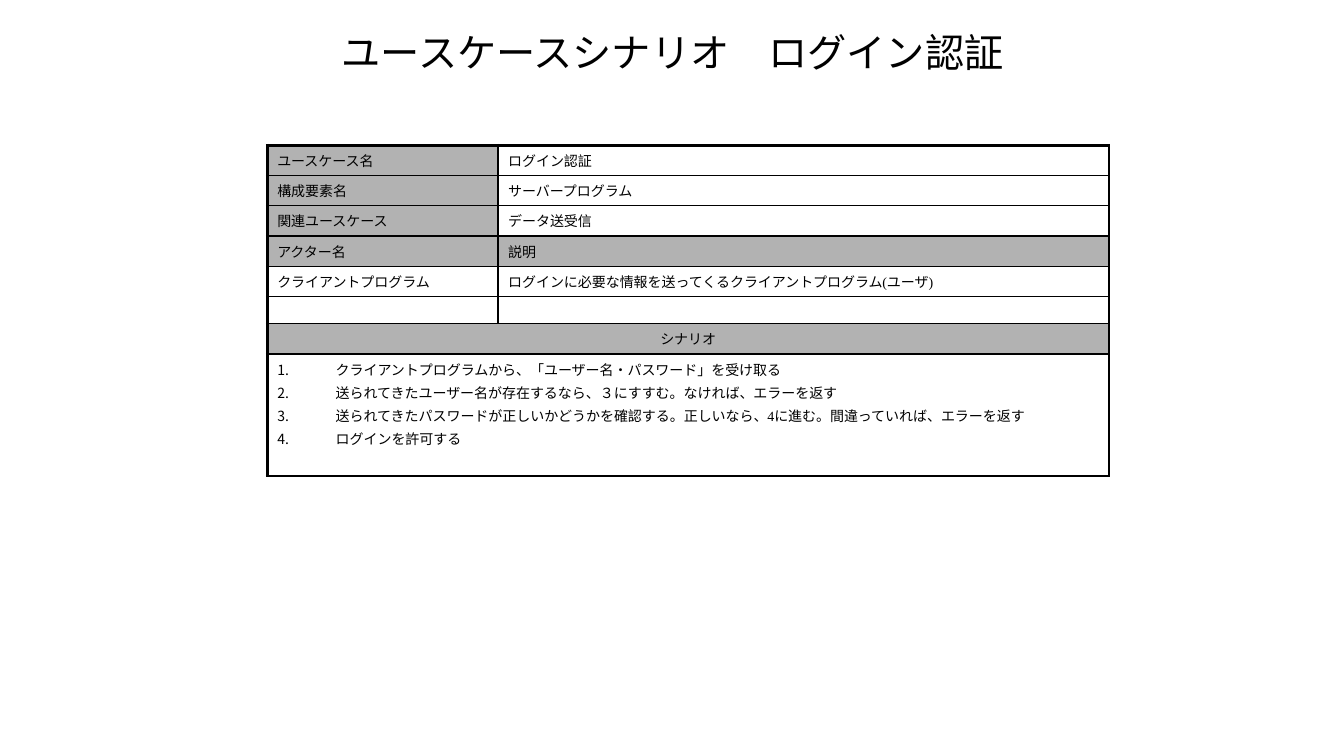
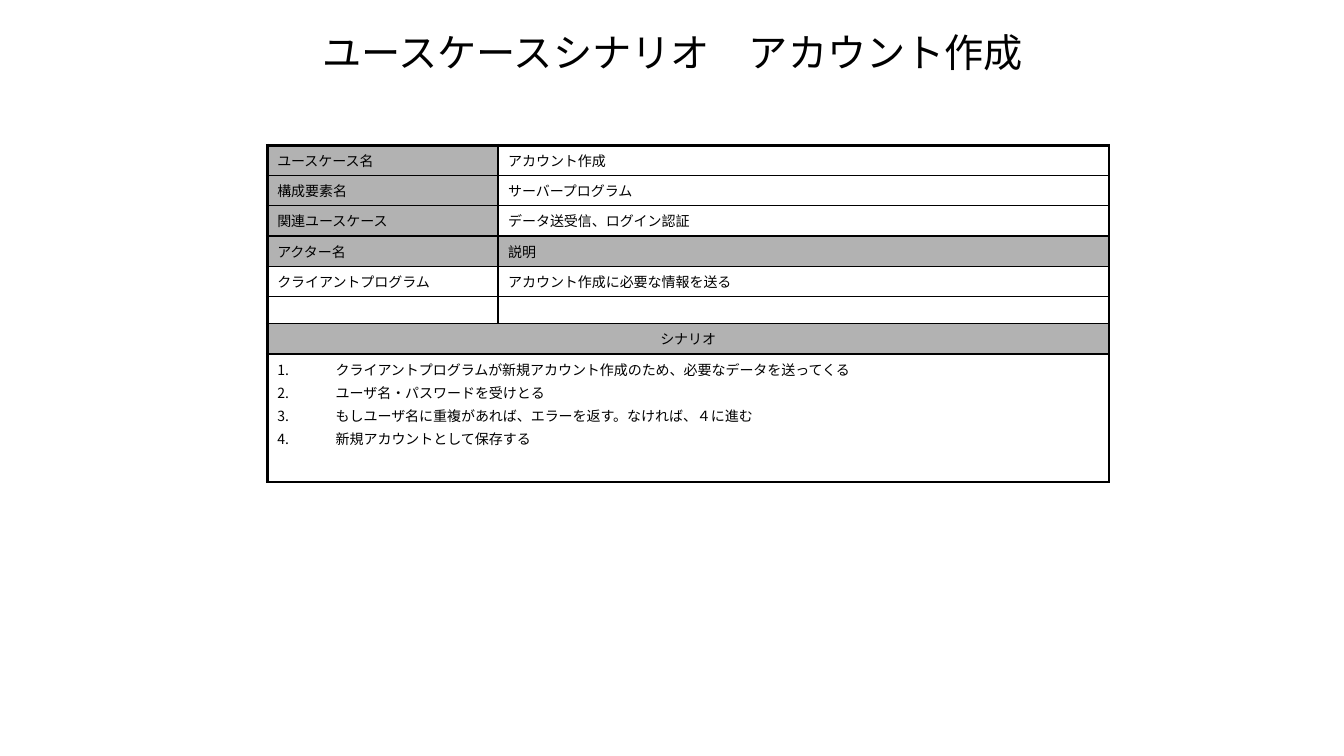
from dataclasses import dataclass

from lxml.etree import SubElement
from pptx import Presentation
from pptx.dml.color import RGBColor
from pptx.enum.text import MSO_ANCHOR, MSO_AUTO_SIZE, PP_ALIGN
from pptx.oxml.ns import qn
from pptx.util import Inches, Pt

BLACK = RGBColor(0x00, 0x00, 0x00)
GRAY = RGBColor(0xB2, 0xB2, 0xB2)
FONT = "Times New Roman"
SMALL = 10
THIN, THICK = Pt(1), Pt(2.25)
COLS = (2.29, 6.06)
ROW = 0.27
HEAD, STEPS = 6, 7  # full-width rows: scenario heading and its steps
SHADED = {(0, 0), (1, 0), (2, 0), (3, 0), (3, 1), (HEAD, 0), (HEAD, 1)}


@dataclass(frozen=True)
class UseCase:
    """One use case and the steps of its scenario."""
    name: str
    related: str
    actor: str
    steps: tuple[str, ...]
    depth: float

    def rows(self) -> list[tuple[str, str]]:
        """Return the texts of the table, row by row."""
        return [
            ("ユースケース名", self.name),
            ("構成要素名", "サーバープログラム"),
            ("関連ユースケース", self.related),
            ("アクター名", "説明"),
            ("クライアントプログラム", self.actor),
            ("", ""),
            ("シナリオ", ""),
            ("\n".join(self.steps), ""),
        ]


CASES = (
    UseCase(
        "ログイン認証",
        "データ送受信",
        "ログインに必要な情報を送ってくるクライアントプログラム(ユーザ)",
        (
            "クライアントプログラムから、「ユーザー名・パスワード」を受け取る",
            "送られてきたユーザー名が存在するなら、３にすすむ。なければ、エラーを返す",
            "送られてきたパスワードが正しいかどうかを確認する。正しいなら、4に進む。"
            "間違っていれば、エラーを返す",
            "ログインを許可する",
        ),
        1.21,
    ),
    UseCase(
        "アカウント作成",
        "データ送受信、ログイン認証",
        "アカウント作成に必要な情報を送る",
        (
            "クライアントプログラムが新規アカウント作成のため、必要なデータを送ってくる",
            "ユーザ名・パスワードを受けとる",
            "もしユーザ名に重複があれば、エラーを返す。なければ、４に進む",
            "新規アカウントとして保存する",
        ),
        1.27,
    ),
)


def style(para, size: float) -> None:
    """Give every run of a paragraph the deck's font and colour."""
    for run in para.runs:
        run.font.name = FONT
        run.font.size = Pt(size)
        run.font.color.rgb = BLACK


def number(para) -> None:
    """Turn a paragraph into a numbered item with a hanging indent."""
    props = para._p.get_or_add_pPr()
    indent = Inches(0.58)
    props.set("marL", str(indent))
    props.set("indent", str(-indent))
    SubElement(props, qn("a:buAutoNum"), type="arabicPeriod")


def border(cell, widths: dict[str, int]) -> None:
    """Draw the black edges of a cell; widths go by side L, R, T, B."""
    props = cell._tc.get_or_add_tcPr()
    for side, width in widths.items():
        line = SubElement(props, qn(f"a:ln{side}"), w=str(width))
        fill = SubElement(line, qn("a:solidFill"))
        SubElement(fill, qn("a:srgbClr"), val=str(BLACK))


def write(cell, text: str) -> None:
    """Put text into a cell in the table's small type."""
    cell.text_frame.text = text
    for para in cell.text_frame.paragraphs:
        para.space_before = Pt(SMALL * 0.2)
        style(para, SMALL)
        if not text:
            para._p.get_or_add_endParaRPr().set("sz", str(SMALL * 100))


def add_grid(slide, case: UseCase) -> None:
    """Add the use case table to a slide."""
    rows = case.rows()
    highs = [ROW] * STEPS + [case.depth]
    table = slide.shapes.add_table(
        len(rows), len(COLS), Inches(2.65), Inches(1.44),
        Inches(sum(COLS)), Inches(sum(highs))).table
    table.first_row = table.horz_banding = False
    for col, width in zip(table.columns, COLS):
        col.width = Inches(width)
    for row, high in zip(table.rows, highs):
        row.height = Inches(high)
    for r in (HEAD, STEPS):
        table.cell(r, 0).merge(table.cell(r, 1))

    for r, texts in enumerate(rows):
        for c, text in enumerate(texts):
            cell = table.cell(r, c)
            wide = r in (HEAD, STEPS)
            border(cell, {
                "L": THICK if c == 0 else THIN,
                "R": THICK if c == 1 or wide else THIN,
                "T": THICK if r == 0 else THIN,
                "B": THICK if r == STEPS else THIN,
            })
            if (r, c) in SHADED:
                cell.fill.solid()
                cell.fill.fore_color.rgb = GRAY
            else:
                cell.fill.background()
            write(cell, text)

    table.cell(HEAD, 0).text_frame.paragraphs[0].alignment = PP_ALIGN.CENTER
    for para in table.cell(STEPS, 0).text_frame.paragraphs:
        number(para)


def add_title(slide, name: str) -> None:
    """Fill and format the slide's title."""
    title = slide.shapes.title
    title.left, title.top = Inches(2.42), Inches(0.27)
    title.width, title.height = Inches(8.5), Inches(0.48)
    frame = title.text_frame
    frame.text = f"ユースケースシナリオ　{name}"
    frame.auto_size = MSO_AUTO_SIZE.NONE
    frame.vertical_anchor = MSO_ANCHOR.MIDDLE
    frame.paragraphs[0].alignment = PP_ALIGN.CENTER
    style(frame.paragraphs[0], 28)


def main() -> None:
    """Build one slide for each use case and save the deck."""
    deck = Presentation()
    deck.slide_width, deck.slide_height = Inches(13.33), Inches(7.5)
    layout = deck.slide_layouts.get_by_name("Title Only")
    for case in CASES:
        slide = deck.slides.add_slide(layout)
        add_grid(slide, case)
        add_title(slide, case.name)
    deck.save("out.pptx")


main()
